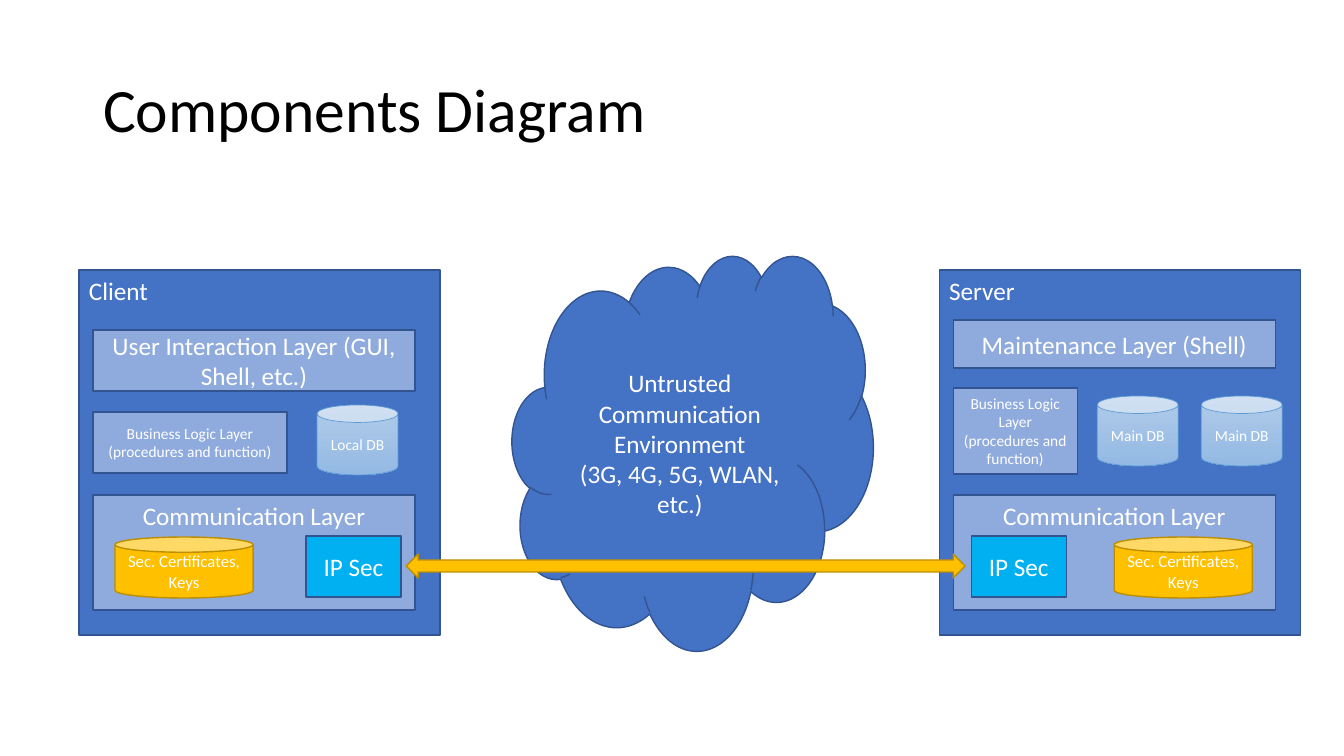
"""Build the components diagram slide."""
from dataclasses import dataclass

from pptx import Presentation
from pptx.dml.color import RGBColor
from pptx.enum.shapes import MSO_SHAPE
from pptx.enum.text import MSO_ANCHOR, MSO_AUTO_SIZE, PP_ALIGN
from pptx.util import Emu, Inches, Pt


@dataclass(frozen=True)
class Theme:
    """Hold the colours, font and type sizes of the slide."""

    font: str = "Calibri"
    black: str = "000000"
    white: str = "FFFFFF"
    blue: str = "4472C4"
    blue_edge: str = "325491"
    layer: str = "8FAADC"
    security: str = "00B0F0"
    gold: str = "FFC000"
    gold_edge: str = "BD8E00"
    database: tuple = ("B1CBE9", "93B9E4")
    database_edge: str = "5B9BD5"
    title: int = 44
    large: int = 18
    medium: int = 12
    small: int = 11


THEME = Theme()
EMU_PER_PIXEL = 914400 / 100.8
BUSINESS_LOGIC = "Business Logic Layer (procedures and function)"


def px(length):
    """Convert picture pixels to EMU."""
    return Emu(round(length * EMU_PER_PIXEL))


def within(box, left, top, width, height):
    """Return a box placed relative to the corner of another box."""
    return box[0] + left, box[1] + top, width, height


def write(frame, text, size, color, align, anchor):
    """Write one formatted paragraph into a text frame."""
    frame.word_wrap = True
    frame.auto_size = MSO_AUTO_SIZE.NONE
    frame.vertical_anchor = anchor
    paragraph = frame.paragraphs[0]
    paragraph.text = text
    paragraph.alignment = align
    for run in paragraph.runs:
        run.font.name = THEME.font
        run.font.size = Pt(size)
        run.font.color.rgb = RGBColor.from_string(color)


def add_part(shapes, kind, box, fill, edge=THEME.blue_edge, text="", size=THEME.large,
             align=PP_ALIGN.CENTER, anchor=MSO_ANCHOR.MIDDLE, edge_width=1):
    """Add one filled and outlined part of the diagram."""
    part = shapes.add_shape(kind, *map(px, box))
    part.shadow.inherit = False
    if isinstance(fill, tuple):
        part.fill.gradient()
        part.fill.gradient_angle = 270
        for stop, color in zip(part.fill.gradient_stops, fill):
            stop.color.rgb = RGBColor.from_string(color)
    else:
        part.fill.solid()
        part.fill.fore_color.rgb = RGBColor.from_string(fill)
    part.line.color.rgb = RGBColor.from_string(edge)
    part.line.width = Pt(edge_width)
    if text:
        write(part.text_frame, text, size, THEME.white, align, anchor)


def add_title(slide, box):
    """Place and format the slide title."""
    title = slide.shapes.title
    title.left, title.top, title.width, title.height = map(px, box)
    write(title.text_frame, "Components Diagram", THEME.title, THEME.black,
          PP_ALIGN.LEFT, MSO_ANCHOR.MIDDLE)
    title.text_frame.paragraphs[0].line_spacing = 0.9


def add_network(slide, box):
    """Add the cloud of the untrusted network."""
    add_part(slide.shapes, MSO_SHAPE.CLOUD, box, THEME.blue,
             text="Untrusted Communication Environment\v(3G, 4G, 5G, WLAN, etc.)")


def add_communication(shapes, box, ip_sec_left, keys_left):
    """Add the communication layer with its IP Sec block and key store."""
    add_part(shapes, MSO_SHAPE.RECTANGLE, box, THEME.layer,
             text="Communication Layer", anchor=MSO_ANCHOR.TOP)
    add_part(shapes, MSO_SHAPE.RECTANGLE, within(box, ip_sec_left, 41, 95, 61),
             THEME.security, text="IP Sec")
    add_part(shapes, MSO_SHAPE.CAN, within(box, keys_left, 42, 138, 61), THEME.gold,
             THEME.gold_edge, "Sec. Certificates, Keys", THEME.medium)


def add_machine(slide, box, name, top_layer, top_box, logic_box, databases,
                ip_sec_left, keys_left):
    """Add one machine with its layers and databases as a group."""
    shapes = slide.shapes.add_group_shape().shapes
    add_part(shapes, MSO_SHAPE.RECTANGLE, box, THEME.blue, text=name,
             align=PP_ALIGN.LEFT, anchor=MSO_ANCHOR.TOP)
    add_part(shapes, MSO_SHAPE.RECTANGLE, within(box, *top_box), THEME.layer,
             text=top_layer)
    add_part(shapes, MSO_SHAPE.RECTANGLE, within(box, *logic_box), THEME.layer,
             text=BUSINESS_LOGIC, size=THEME.small)
    add_communication(shapes, within(box, 14, 225, 322, 115), ip_sec_left, keys_left)
    for label, left, top in databases:
        add_part(shapes, MSO_SHAPE.CAN, within(box, left, top, 81, 70), THEME.database,
                 THEME.database_edge, label, THEME.small, edge_width=0.5)


def add_channel(slide, box):
    """Add the double arrow between the two IP Sec blocks."""
    add_part(slide.shapes, MSO_SHAPE.LEFT_RIGHT_ARROW, box, THEME.gold, THEME.gold_edge)


def build():
    """Build and save the presentation."""
    deck = Presentation()
    deck.slide_width, deck.slide_height = Inches(13.33), Inches(7.5)
    slide = deck.slides.add_slide(deck.slide_layouts[5])
    add_title(slide, (93, 40, 1159, 146))
    add_network(slide, (512, 255, 361, 395))
    add_machine(slide, (79, 270, 361, 365), "Client",
                "User Interaction Layer (GUI, Shell, etc.)",
                top_box=(14, 60, 322, 61), logic_box=(14, 142, 194, 61),
                databases=[("Local DB", 238, 135)], ip_sec_left=213, keys_left=22)
    add_machine(slide, (939, 270, 361, 365), "Server", "Maintenance Layer (Shell)",
                top_box=(14, 50, 322, 48), logic_box=(14, 118, 124, 86),
                databases=[("Main DB", left, 126) for left in (158, 262)],
                ip_sec_left=18, keys_left=161)
    add_channel(slide, (406, 554, 559, 24))
    deck.save("out.pptx")


build()
